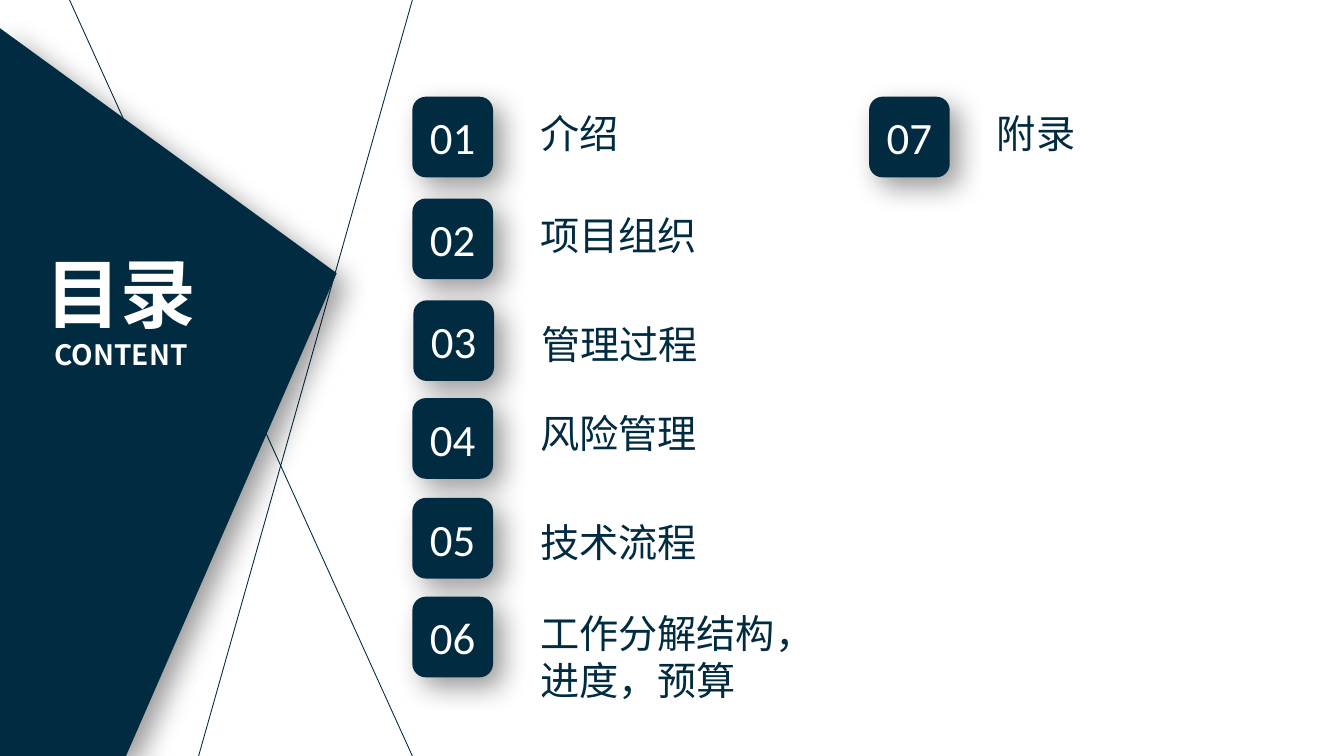
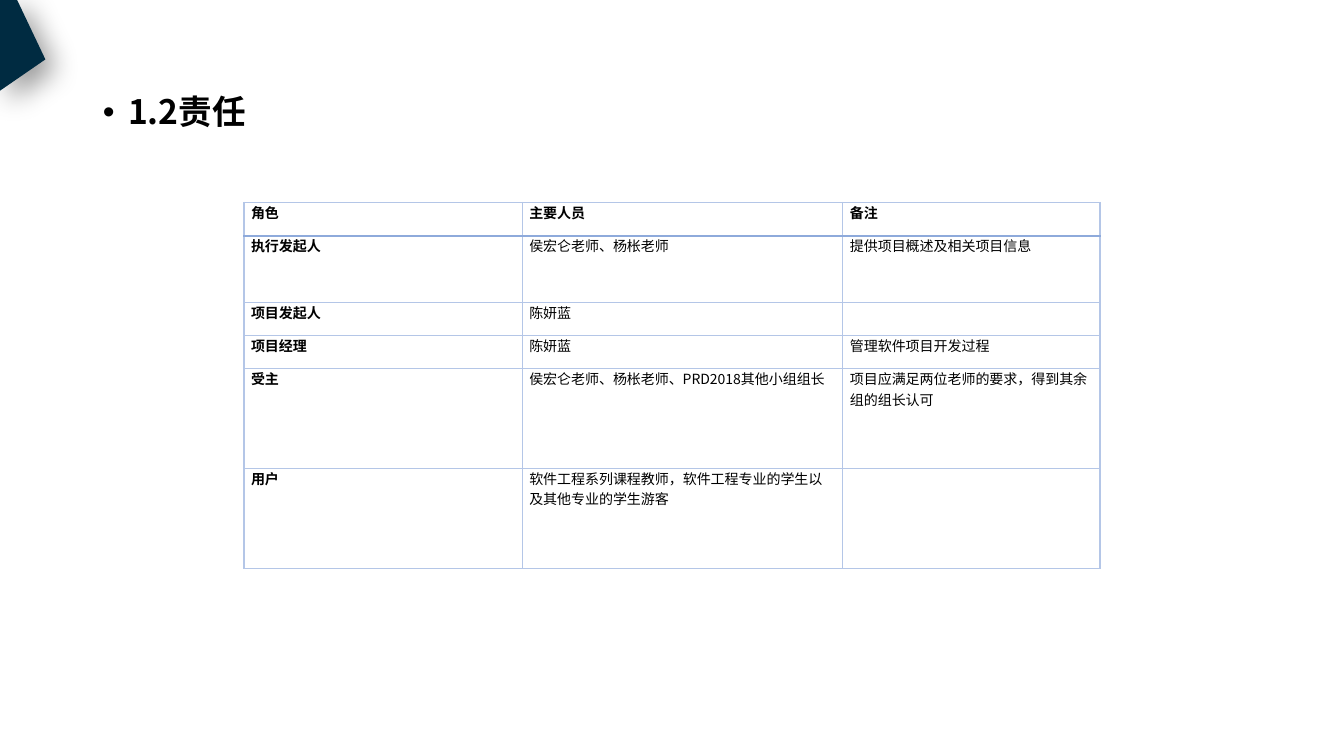
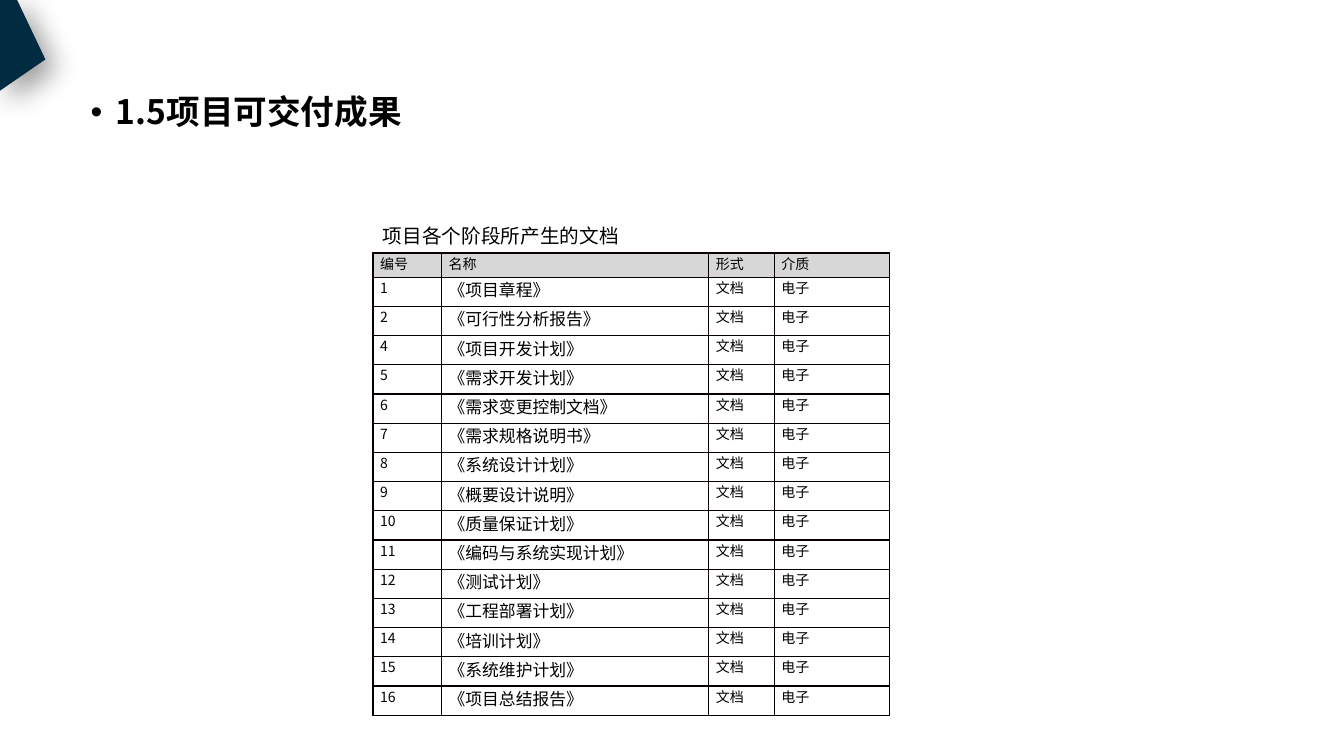
from dataclasses import dataclass

from pptx import Presentation
from pptx.dml.color import RGBColor
from pptx.enum.shapes import MSO_CONNECTOR, MSO_SHAPE
from pptx.enum.text import MSO_ANCHOR, MSO_AUTO_SIZE, PP_ALIGN
from pptx.oxml import parse_xml
from pptx.oxml.ns import nsdecls, qn
from pptx.util import Inches, Pt

LEFT, MID = PP_ALIGN.LEFT, PP_ALIGN.CENTER
TOP, HALF = MSO_ANCHOR.TOP, MSO_ANCHOR.MIDDLE
FIXED = MSO_AUTO_SIZE.NONE
ROUND = MSO_SHAPE.ROUNDED_RECTANGLE
STRAIGHT = MSO_CONNECTOR.STRAIGHT


@dataclass(frozen=True)
class Theme:
    """Colours, fonts and type sizes of the deck."""
    navy: str = "002B41"
    white: str = "FFFFFF"
    black: str = "000000"
    gray: str = "D7D7D7"
    pale: str = "B4C6E7"
    blue: str = "8EAADB"
    ink: str = "080000"
    font: str = "Noto Sans CJK SC"
    digit: str = "Calibri"
    title: int = 54
    sub: int = 20
    num: int = 32
    item: int = 28
    head: int = 24
    note: int = 14
    name: int = 12
    cell: int = 10


T = Theme()

# number, label, left, top, label top
ITEMS = [
    ("01", "介绍", 4.09, 0.96, 1.04),
    ("02", "项目组织", 4.09, 1.97, 2.05),
    ("03", "管理过程", 4.1, 2.98, 3.13),
    ("04", "风险管理", 4.09, 3.95, 4.01),
    ("05", "技术流程", 4.09, 4.94, 5.09),
    ("06", "工作分解结构，进度，预算", 4.09, 5.92, 6),
    ("07", "附录", 8.62, 0.96, 1.04),
]

ROLES = [
    ("角色", "主要人员", "备注"),
    ("执行发起人", "侯宏仑老师、杨枨老师", "提供项目概述及相关项目信息"),
    ("项目发起人", "陈妍蓝", ""),
    ("项目经理", "陈妍蓝", "管理软件项目开发过程"),
    ("受主", "侯宏仑老师、杨枨老师、PRD2018其他小组组长",
     "项目应满足两位老师的要求，得到其余组的组长认可"),
    ("用户", "软件工程系列课程教师，软件工程专业的学生以及其他专业的学生游客", ""),
]

DOCS = [
    "项目章程", "可行性分析报告", "项目开发计划", "需求开发计划",
    "需求变更控制文档", "需求规格说明书", "系统设计计划", "概要设计说明",
    "质量保证计划", "编码与系统实现计划", "测试计划", "工程部署计划",
    "培训计划", "系统维护计划", "项目总结报告",
]
CODES = [1, 2, *range(4, 17)]


def put(frame, text, size, font=T.font, color=T.black, bold=False, align=LEFT):
    """Write one formatted paragraph into a text frame and return it."""
    para = frame.add_paragraph() if frame.text else frame.paragraphs[0]
    para.alignment = align
    if not text:
        end = para._p.get_or_add_endParaRPr()
        end.set("sz", str(size * 100))
        return para
    run = para.add_run()
    run.text = text
    face = run.font
    face.name, face.size, face.bold = font, Pt(size), bold
    face.color.rgb = RGBColor.from_string(color)
    east = parse_xml(f'<a:ea {nsdecls("a")} typeface="{font}"/>')
    face._element.find(qn("a:latin")).addnext(east)
    return para


def place(shape, left, top, width, height):
    """Move and size a shape, in inches."""
    shape.left, shape.top = Inches(left), Inches(top)
    shape.width, shape.height = Inches(width), Inches(height)


def prep(frame, anchor=TOP):
    """Make a text frame wrap at a fixed size."""
    frame.word_wrap = True
    frame.auto_size = FIXED
    frame.vertical_anchor = anchor
    return frame


def label(slide, text, left, top, width, height, **fmt):
    """Add a text box."""
    box = slide.shapes.add_textbox(
        Inches(left), Inches(top), Inches(width), Inches(height))
    put(prep(box.text_frame), text, **fmt)


def paint(shape):
    """Give a shape the navy fill and the soft shadow."""
    shape.fill.solid()
    shape.fill.fore_color.rgb = RGBColor.from_string(T.navy)
    shape.line.fill.background()
    shape.shadow.inherit = False
    shape._element.spPr.find(qn("a:effectLst")).append(parse_xml(
        f'<a:outerShdw {nsdecls("a")} blurRad="{Pt(20)}" dist="{Pt(10)}" '
        f'dir="2700000" algn="tl" rotWithShape="0"><a:srgbClr val="{T.black}">'
        '<a:alpha val="40000"/></a:srgbClr></a:outerShdw>'))


def poly(slide, *points):
    """Draw a closed navy outline through points in inches."""
    first, *rest = [(Inches(x), Inches(y)) for x, y in points]
    pen = slide.shapes.build_freeform(*first)
    pen.add_line_segments(rest, close=True)
    paint(pen.convert_to_shape())


def line(slide, *ends):
    """Draw a thin navy line between two points."""
    rule = slide.shapes.add_connector(STRAIGHT, *map(Inches, ends))
    rule.line.color.rgb = RGBColor.from_string(T.navy)
    rule.line.width = Pt(0.63)
    rule._element.spPr.append(parse_xml(f'<a:effectLst {nsdecls("a")}/>'))


def entry(slide, num, text, left, top, base):
    """Add one numbered entry of the contents."""
    tile = slide.shapes.add_shape(
        ROUND, Inches(left), Inches(top), Inches(0.8), Inches(0.8))
    paint(tile)
    frame = prep(tile.text_frame, HALF)
    frame.margin_left = frame.margin_right = 0
    put(frame, num, size=T.num, font=T.digit, color=T.white, align=MID)
    label(slide, text, left + 1.17, base, 3.17, 0.57,
          size=T.item, color=T.navy)


def edge(cell, **sides):
    """Set cell borders; each side is a (colour, points) pair."""
    props = cell._tc.get_or_add_tcPr()
    for side in "LRTB":
        color, width = sides[side]
        props.append(parse_xml(
            f'<a:ln{side} {nsdecls("a")} w="{Pt(width)}"><a:solidFill>'
            f'<a:srgbClr val="{color}"/></a:solidFill></a:ln{side}>'))


def grid(slide, left, top, cols, rows, data, style):
    """Add a table; style(row, col) gives text format, fill and borders."""
    frame = slide.shapes.add_table(
        len(rows), len(cols), Inches(left), Inches(top),
        Inches(sum(cols)), Inches(sum(rows)))
    table = frame.table
    table.first_row = table.horz_banding = False
    for col, width in zip(table.columns, cols):
        col.width = Inches(width)
    for row, height in zip(table.rows, rows):
        row.height = Inches(height)
    for r, texts in enumerate(data):
        for c, text in enumerate(texts):
            cell = table.cell(r, c)
            fmt, fill, sides = style(r, c)
            cell.margin_left = cell.margin_right = Inches(0.07)
            cell.margin_top = cell.margin_bottom = 0
            edge(cell, **sides)
            if fill:
                cell.fill.solid()
                cell.fill.fore_color.rgb = RGBColor.from_string(fill)
            else:
                cell.fill.background()
            put(cell.text_frame, text, **fmt)


def role(r, c):
    """Style of a cell in the table of roles."""
    thin, bold = (T.pale, 1), (T.blue, 1.5)
    sides = dict.fromkeys("LRTB", thin)
    if r < 2:
        sides["T" if r else "B"] = bold
    return dict(size=T.cell, bold=r == 0 or c == 0), None, sides


def doc(r, c):
    """Style of a cell in the table of documents."""
    size = T.name if r and c == 1 else T.cell
    fill = None if r else T.gray
    return dict(size=size), fill, dict.fromkeys("LRTB", (T.ink, 1))


def page(deck, text, left, height):
    """Add a page with the bulleted heading and the corner shape."""
    slide = deck.slides.add_slide(deck.slide_layouts[1])
    title, body = slide.placeholders
    title._element.getparent().remove(title._element)
    place(body, left, 0.9, 11.5, height)
    para = put(prep(body.text_frame), text, size=T.head, bold=True)
    para.line_spacing, para.space_before = 0.9, Pt(10)
    props = para._p.get_or_add_pPr()
    props.set("marL", str(Inches(0.25)))
    props.set("indent", str(Inches(-0.25)))
    poly(slide, (0.17, 0), (0, 0), (0, 0.9), (0.45, 0.59))
    return slide


def agenda(deck):
    """Build the contents slide."""
    slide = deck.slides.add_slide(deck.slide_layouts[5])
    line(slide, 4.09, 0, 1.97, 7.5)
    line(slide, 4.09, 7.5, 0.69, 0)
    poly(slide, (1.25, 7.5), (0, 7.5), (0, 0.28), (3.34, 2.71))
    title = slide.shapes.title
    place(title, 0.24, 2.4, 1.92, 1.35)
    slide.shapes._spTree.append(title._element)
    frame = prep(title.text_frame)
    for text, size in (("目录", T.title), ("CONTENT", T.sub)):
        put(frame, text, size=size, color=T.white, bold=True, align=MID)
    for item in ITEMS:
        entry(slide, *item)


def duties(deck):
    """Build the slide of roles."""
    slide = page(deck, "1.2责任", 0.92, 5.86)
    grid(slide, 2.42, 2.01, [2.76, 3.18, 2.55],
         [0.33, 0.66, 0.33, 0.33, 0.99, 0.99], ROLES, role)


def papers(deck):
    """Build the slide of documents."""
    slide = page(deck, "1.5项目可交付成果", 0.8, 5.59)
    data = [("编号", "名称", "形式", "介质")]
    data += [(str(n), f"《{name}》", "文档", "电子")
             for n, name in zip(CODES, DOCS)]
    grid(slide, 3.7, 2.51, [0.68, 2.65, 0.65, 1.14],
         [0.24] + [0.29] * len(DOCS), data, doc)
    label(slide, "项目各个阶段所产生的文档", 3.7, 2.17, 5.71, 0.34, size=T.note)


def main():
    """Build and save the deck."""
    deck = Presentation()
    deck.slide_width, deck.slide_height = Inches(13.33), Inches(7.5)
    agenda(deck)
    duties(deck)
    papers(deck)
    deck.save("out.pptx")


main()
